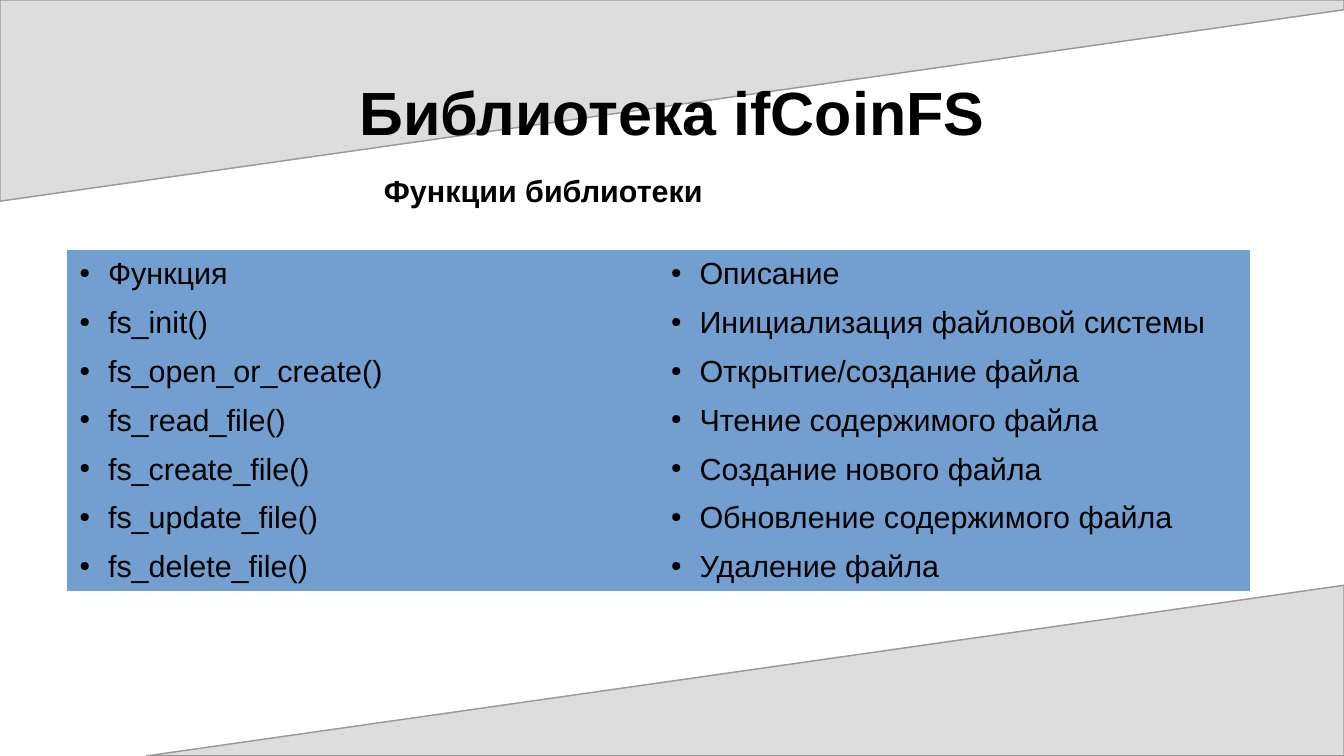
from pptx import Presentation
from pptx import util as u
from pptx.dml import color
from pptx.enum import text
from pptx.oxml import ns, xmlchemy

FONT = "Arial"
BLACK = "000000"
NO_GRID_STYLE = "{2D5ABB26-0587-4C30-8999-92F81FD0307C}"
PAGE_WIDTH, PAGE_HEIGHT = 793.44, 446.4
LOWER_WEDGE = [(86.4, PAGE_HEIGHT), (PAGE_WIDTH, PAGE_HEIGHT), (PAGE_WIDTH, 345.6)]
UPPER_WEDGE = [(0, 118.8), (0, 0), (PAGE_WIDTH, 0), (PAGE_WIDTH, 5.76)]
FUNCTIONS = [
    ("Функция", "Описание"),
    ("fs_init()", "Инициализация файловой системы"),
    ("fs_open_or_create()", "Открытие/создание файла"),
    ("fs_read_file()", "Чтение содержимого файла"),
    ("fs_create_file()", "Создание нового файла"),
    ("fs_update_file()", "Обновление содержимого файла"),
    ("fs_delete_file()", "Удаление файла"),
]


def rgb(value):
    """Turn a hex string into a colour."""
    return color.RGBColor.from_string(value)


def set_font(para, size, bold=False):
    """Format a whole paragraph in the slide's font."""
    para.font.name = FONT
    para.font.size = u.Pt(size)
    para.font.bold = bold
    para.font.color.rgb = rgb(BLACK)


def set_title(page, words, left, top, width, height):
    """Fill, place and format the title placeholder."""
    title = page.shapes.title
    title.left, title.top = u.Pt(left), u.Pt(top)
    title.width, title.height = u.Pt(width), u.Pt(height)
    frame = title.text_frame
    frame.text = words
    frame.auto_size = text.MSO_AUTO_SIZE.NONE
    frame.vertical_anchor = text.MSO_ANCHOR.MIDDLE
    frame.margin_left = frame.margin_right = frame.margin_top = frame.margin_bottom = 0
    para = frame.paragraphs[0]
    para.alignment = text.PP_ALIGN.CENTER
    set_font(para, 36, bold=True)


def add_wedge(page, points):
    """Draw a grey background wedge behind the title."""
    corners = [(u.Pt(x), u.Pt(y)) for x, y in points]
    builder = page.shapes.build_freeform(*corners[0])
    builder.add_line_segments(corners[1:], close=True)
    wedge = builder.convert_to_shape()
    wedge.shadow.inherit = False
    wedge.fill.solid()
    wedge.fill.fore_color.rgb = rgb("DDDDDD")
    wedge.line.color.rgb = rgb("999999")
    wedge.line.width = u.Pt(0.85)
    page.shapes.title.element.addprevious(wedge.element)


def add_bullet(para, indent):
    """Give a paragraph a small round bullet and a hanging indent."""
    props = para._p.get_or_add_pPr()
    props.set("marL", str(u.Pt(indent)))
    props.set("indent", str(-u.Pt(indent)))
    bullet_color = xmlchemy.OxmlElement("a:buClr")
    props.append(bullet_color)
    for parent, tag, name, value in (
        (bullet_color, "a:srgbClr", "val", BLACK),
        (props, "a:buSzPct", "val", "45000"),
        (props, "a:buChar", "char", "●"),
    ):
        item = xmlchemy.OxmlElement(tag)
        item.set(name, value)
        parent.append(item)


def fill_cell(cell, words):
    """Write one bulleted entry on a blue cell."""
    cell.fill.solid()
    cell.fill.fore_color.rgb = rgb("729FCF")
    cell.vertical_anchor = text.MSO_ANCHOR.MIDDLE
    cell.text = words
    para = cell.text_frame.paragraphs[0]
    add_bullet(para, 17)
    set_font(para, 18)


def add_function_table(page, rows, left, top, width, row_height):
    """Add the table of functions and their descriptions."""
    frame = page.shapes.add_table(len(rows), len(rows[0]), u.Pt(left), u.Pt(top),
                                  u.Pt(width), u.Pt(row_height * len(rows)))
    table = frame.table
    table.first_row = table.horz_banding = False
    next(frame.element.iter(ns.qn("a:tableStyleId"))).text = NO_GRID_STYLE
    for row, entries in enumerate(rows):
        for column, words in enumerate(entries):
            fill_cell(table.cell(row, column), words)


def add_subtitle(page, words, left, top, width, height):
    """Add the bold line above the table."""
    box = page.shapes.add_textbox(u.Pt(left), u.Pt(top), u.Pt(width), u.Pt(height))
    box.text_frame.word_wrap = True
    box.text_frame.text = words
    set_font(box.text_frame.paragraphs[0], 18, bold=True)


def main():
    """Build and save the slide."""
    deck = Presentation()
    deck.slide_width, deck.slide_height = u.Pt(PAGE_WIDTH), u.Pt(PAGE_HEIGHT)
    page = deck.slides.add_slide(deck.slide_layouts.get_by_name("Title Only"))
    for points in (LOWER_WEDGE, UPPER_WEDGE):
        add_wedge(page, points)
    set_title(page, "Библиотека ifCoinFS", 42.5, 28, 708.5, 75)
    add_function_table(page, FUNCTIONS, 39.6, 147.6, 698.4, 28.8)
    add_subtitle(page, "Функции библиотеки", 219.6, 98, 265, 28)
    deck.save("out.pptx")


if __name__ == "__main__":
    main()
